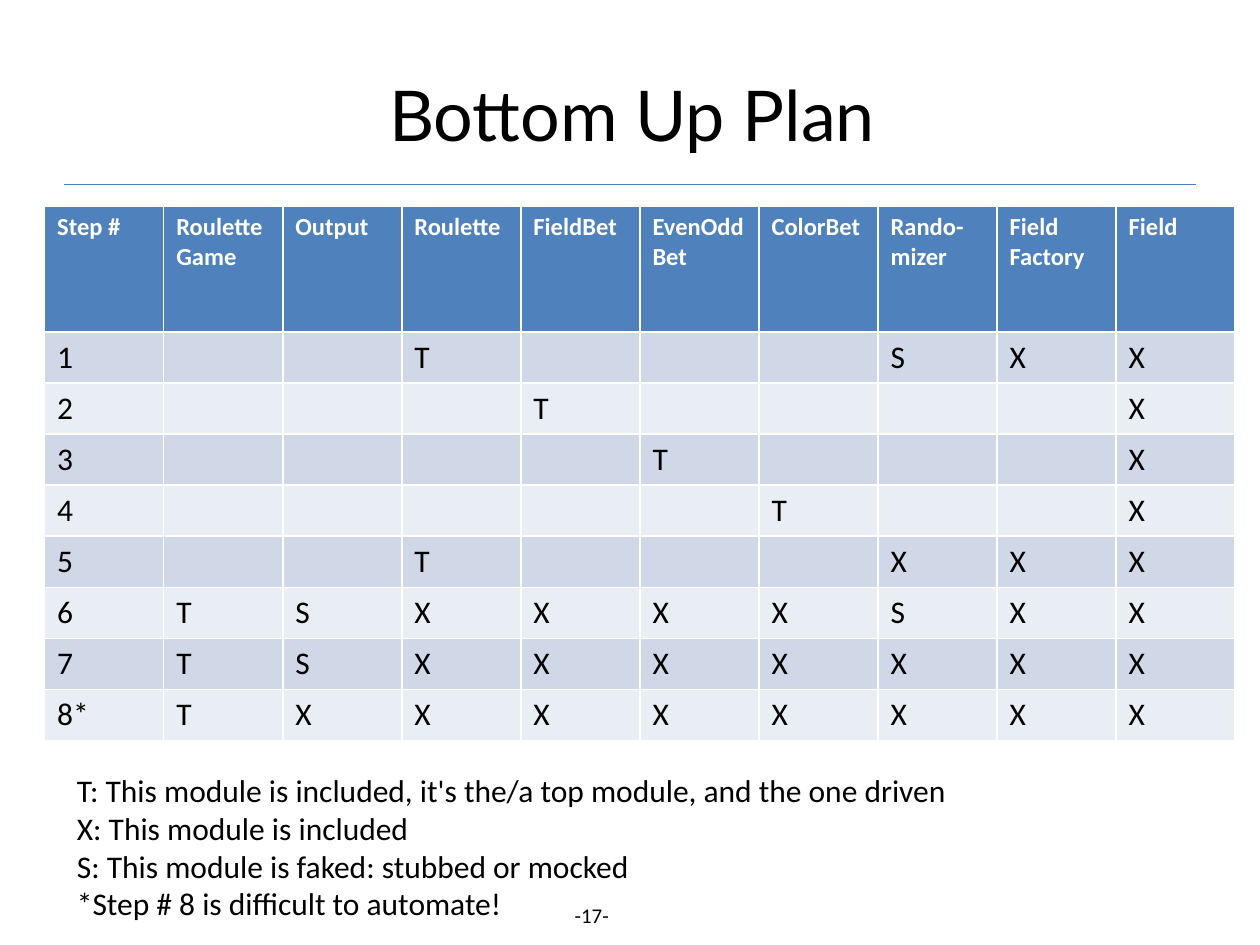
from dataclasses import dataclass

from lxml.etree import SubElement
from pptx import Presentation
from pptx.dml.color import RGBColor
from pptx.enum.shapes import MSO_CONNECTOR
from pptx.enum.text import MSO_ANCHOR, PP_ALIGN
from pptx.oxml.ns import qn
from pptx.slide import Slide
from pptx.text.text import TextFrame
from pptx.util import Cm, Pt

BLACK = RGBColor(0x00, 0x00, 0x00)
WHITE = RGBColor(0xFF, 0xFF, 0xFF)
HEADER_BLUE = RGBColor(0x4F, 0x81, 0xBD)
RULE_BLUE = RGBColor(0x4B, 0x7E, 0xBC)
BANDS = (RGBColor(0xD0, 0xD8, 0xE8), RGBColor(0xE9, 0xED, 0xF4))

COLUMN_WIDTH = 2.4
HEADER_HEIGHT = 2.54
ROW_HEIGHT = 1.03


@dataclass(frozen=True)
class TextStyle:
    size: float
    color: RGBColor = BLACK
    font: str = "Calibri"
    bold: bool = False
    align: PP_ALIGN = PP_ALIGN.LEFT


@dataclass(frozen=True)
class Note:
    left: float
    top: float
    width: float
    height: float
    text: str
    style: TextStyle


@dataclass(frozen=True)
class Step:
    label: str
    marks: str


TITLE_STYLE = TextStyle(40, font="Lato", align=PP_ALIGN.CENTER)
HEADER_STYLE = TextStyle(14, WHITE, bold=True)
BODY_STYLE = TextStyle(18)

HEADERS = ("Step #", "RouletteGame", "Output", "Roulette", "FieldBet",
           "EvenOddBet", "ColorBet", "Rando-mizer", "Field Factory", "Field")

STEPS = (
    Step("1", "  T   SXX"),
    Step("2", "   T    X"),
    Step("3", "    T   X"),
    Step("4", "     T  X"),
    Step("5", "  T   XXX"),
    Step("6", "TSXXXXSXX"),
    Step("7", "TSXXXXXXX"),
    Step("8*", "TXXXXXXXX"),
)

LEGEND = "\n".join((
    "T: This module is included, it's the/a top module, and the one driven",
    "X: This module is included",
    "S: This module is faked: stubbed or mocked",
    "*Step # 8 is difficult to automate!",
))

NOTES = (
    Note(11.23, 18.06, 1.4, 0.76, "-17-", TextStyle(12, align=PP_ALIGN.CENTER)),
    Note(1.3, 15.42, 19.0, 3.33, LEGEND, BODY_STYLE),
)


def write(frame: TextFrame, text: str, style: TextStyle) -> None:
    frame.text = text
    for para in frame.paragraphs:
        para.alignment = style.align
        para.font.size = Pt(style.size)
        for span in para.runs:
            span.font.name = style.font
            span.font.size = Pt(style.size)
            span.font.bold = style.bold
            span.font.color.rgb = style.color


def add_title(page: Slide, text: str) -> None:
    title = page.shapes.title
    title.left, title.top = Cm(2.49), Cm(0.69)
    title.width, title.height = Cm(20.5), Cm(3.18)
    title.text_frame.vertical_anchor = MSO_ANCHOR.MIDDLE
    write(title.text_frame, text, TITLE_STYLE)


def add_rule(page: Slide) -> None:
    rule = page.shapes.add_connector(
        MSO_CONNECTOR.STRAIGHT, Cm(1.3), Cm(3.72), Cm(24.1), Cm(3.72))
    rule.line.color.rgb = RULE_BLUE
    rule.line.width = Pt(0.75)
    SubElement(rule.element.spPr, qn("a:effectLst"))


def add_plan(page: Slide) -> None:
    rows = [HEADERS] + [(step.label, *step.marks) for step in STEPS]
    table = page.shapes.add_table(
        len(rows), len(HEADERS), Cm(0.9), Cm(4.15),
        Cm(COLUMN_WIDTH * len(HEADERS)),
        Cm(HEADER_HEIGHT + ROW_HEIGHT * len(STEPS))).table
    for column in table.columns:
        column.width = Cm(COLUMN_WIDTH)
    for index, texts in enumerate(rows):
        is_header = index == 0
        table.rows[index].height = Cm(HEADER_HEIGHT if is_header else ROW_HEIGHT)
        for position, text in enumerate(texts):
            cell = table.cell(index, position)
            cell.fill.solid()
            cell.fill.fore_color.rgb = HEADER_BLUE if is_header else BANDS[(index - 1) % 2]
            write(cell.text_frame, text.strip(), HEADER_STYLE if is_header else BODY_STYLE)


def add_note(page: Slide, note: Note) -> None:
    box = page.shapes.add_textbox(
        Cm(note.left), Cm(note.top), Cm(note.width), Cm(note.height))
    box.text_frame.word_wrap = True
    write(box.text_frame, note.text, note.style)


deck = Presentation()
deck.slide_width, deck.slide_height = Cm(25.4), Cm(19.05)
page = deck.slides.add_slide(deck.slide_layouts.get_by_name("Title Only"))
add_title(page, "Bottom Up Plan")
add_rule(page)
add_plan(page)
for note in NOTES:
    add_note(page, note)
deck.save("out.pptx")
